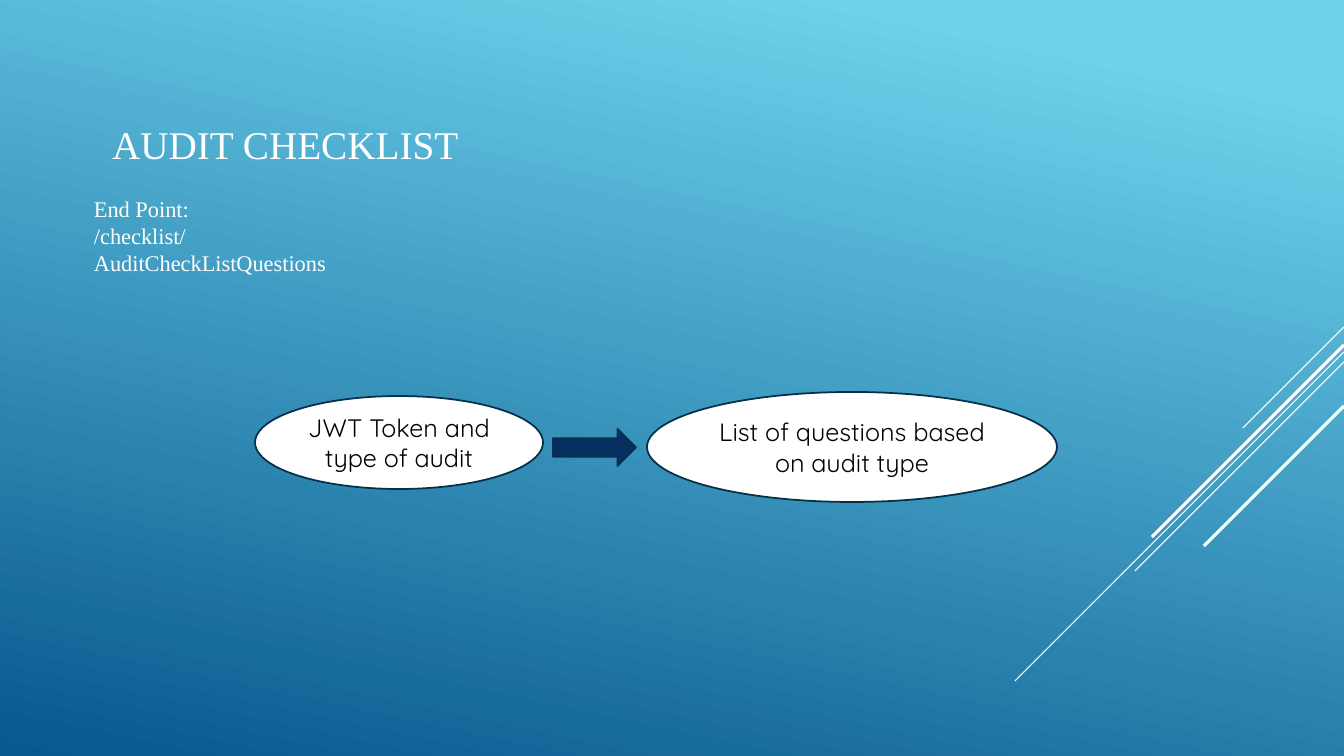
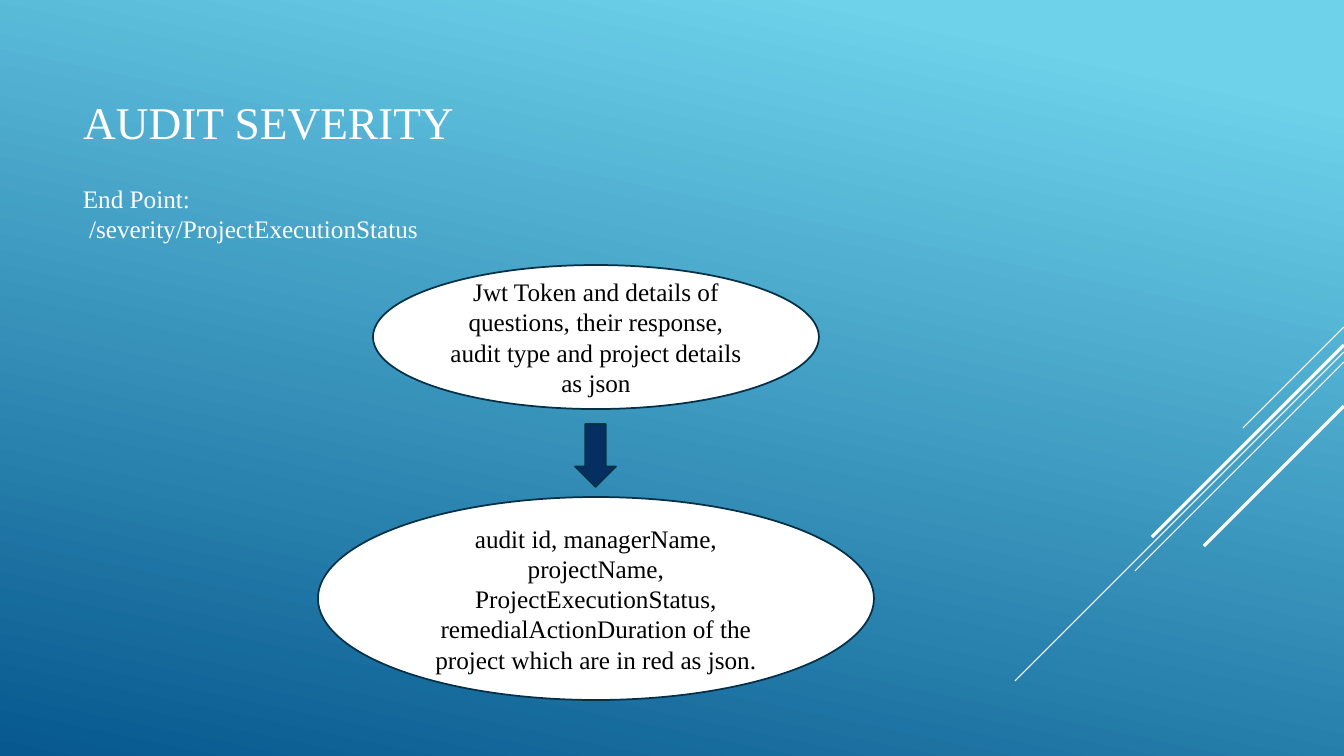
from lxml import etree
from pptx import Presentation
from pptx import util as u
from pptx.dml.color import RGBColor
from pptx.enum import shapes, text
from pptx.oxml.ns import qn

PX = 914400 / 100.8  # EMU in one px
WIDTH, HEIGHT = 1344, 756

WHITE, BLACK, NAVY, OUTLINE = "FFFFFF", "000000", "052F61", "043148"
SKY = [(0.10, "6ED2EB"), (1.00, "06588E")]
SKY_ANGLE = 258
SERIF, SANS = "Times New Roman", "Quicksand"

# Diagonal rays: y at the right edge, horizontal run, width in points
RAYS = [(327, 101, 0.75), (352, 329, 0.75), (362, 209, 0.75),
        (345, 192, 2.25), (406, 140, 2.25)]

# Boxes are left, top, width, height in px
SLIDES = [
    {
        "title": ("AUDIT CHECKLIST", (102, 97, 469, 93), 28),
        "endpoint": (["End Point:", "/checklist/AuditCheckListQuestions"],
                     (84, 190, 320, 92), 16),
        "steps": [("JWT Token and type of audit", (255, 396, 288, 93)),
                  ("List of questions based on audit type", (647, 392, 410, 110))],
        "step_font": SANS,
        "arrow": ("RIGHT_ARROW", (553, 429, 83, 37)),
    },
    {
        "title": ("AUDIT SEVERITY", (73, 80, 395, 83), 32.4),
        "endpoint": (["End Point:", " /severity/ProjectExecutionStatus"],
                     (73, 178, 600, 72), 18),
        "steps": [("Jwt Token and details of questions, their response, "
                   "audit type and project details as json", (373, 265, 446, 144)),
                  ("audit id, managerName, projectName, ProjectExecutionStatus, "
                   "remedialActionDuration of the project which are in red as json.",
                   (318, 497, 556, 203))],
        "step_font": SERIF,
        "arrow": ("DOWN_ARROW", (575, 424, 41, 63)),
    },
]

FRAME = {"word_wrap": True, "auto_size": text.MSO_AUTO_SIZE.NONE}
LEFT, CENTER = text.PP_ALIGN.LEFT, text.PP_ALIGN.CENTER
TOP, MIDDLE = text.MSO_ANCHOR.TOP, text.MSO_ANCHOR.MIDDLE


def px(*lengths):
    return [u.Emu(round(length * PX)) for length in lengths]


def rgb(value):
    return RGBColor.from_string(value)


def apply(target, values):
    for name, value in values.items():
        setattr(target, name, value)


def write(holder, lines, size, font, color, align, anchor):
    frame = holder.text_frame
    apply(frame, {**FRAME, "vertical_anchor": anchor})
    frame.text = "\n".join(lines)
    for paragraph in frame.paragraphs:
        paragraph.alignment = align
        apply(paragraph.font, {"size": u.Pt(size), "name": font})
        paragraph.font.color.rgb = rgb(color)


def add_figure(slide, preset, box, fill):
    figure = slide.shapes.add_shape(getattr(shapes.MSO_SHAPE, preset), *px(*box))
    figure.shadow.inherit = False
    figure.fill.solid()
    figure.fill.fore_color.rgb = rgb(fill)
    figure.line.color.rgb = rgb(OUTLINE)
    figure.line.width = u.Pt(1.25)
    return figure


def paint_background(master):
    fill = master.background.fill
    fill.gradient()
    fill.gradient_angle = SKY_ANGLE
    for stop, (position, color) in zip(fill.gradient_stops, SKY):
        stop.position = position
        stop.color.rgb = rgb(color)


def add_rays(slide):
    for top, run, width in RAYS:
        ray = slide.shapes.add_connector(
            shapes.MSO_CONNECTOR.STRAIGHT, *px(WIDTH, top, WIDTH - run, top + run))
        ray.line.color.rgb = rgb(WHITE)
        ray.line.width = u.Pt(width)
        etree.SubElement(ray.element.spPr, qn("a:effectLst"))


def build_slide(deck, content):
    slide = deck.slides.add_slide(deck.slide_layouts[5])
    add_rays(slide)

    # Title
    heading, box, size = content["title"]
    title = slide.shapes.title
    apply(title, dict(zip(("left", "top", "width", "height"), px(*box))))
    write(title, [heading], size, SERIF, WHITE, LEFT, MIDDLE)

    # Input and output, joined by an arrow
    for label, box in content["steps"]:
        step = add_figure(slide, "FLOWCHART_CONNECTOR", box, WHITE)
        write(step, [label], 18, content["step_font"], BLACK, CENTER, MIDDLE)
    preset, box = content["arrow"]
    add_figure(slide, preset, box, NAVY)

    # Endpoint
    lines, box, size = content["endpoint"]
    endpoint = slide.shapes.add_textbox(*px(*box))
    write(endpoint, lines, size, SERIF, WHITE, LEFT, TOP)


def main():
    deck = Presentation()
    deck.slide_width, deck.slide_height = px(WIDTH, HEIGHT)
    paint_background(deck.slide_master)
    for content in SLIDES:
        build_slide(deck, content)
    deck.save("out.pptx")


if __name__ == "__main__":
    main()
